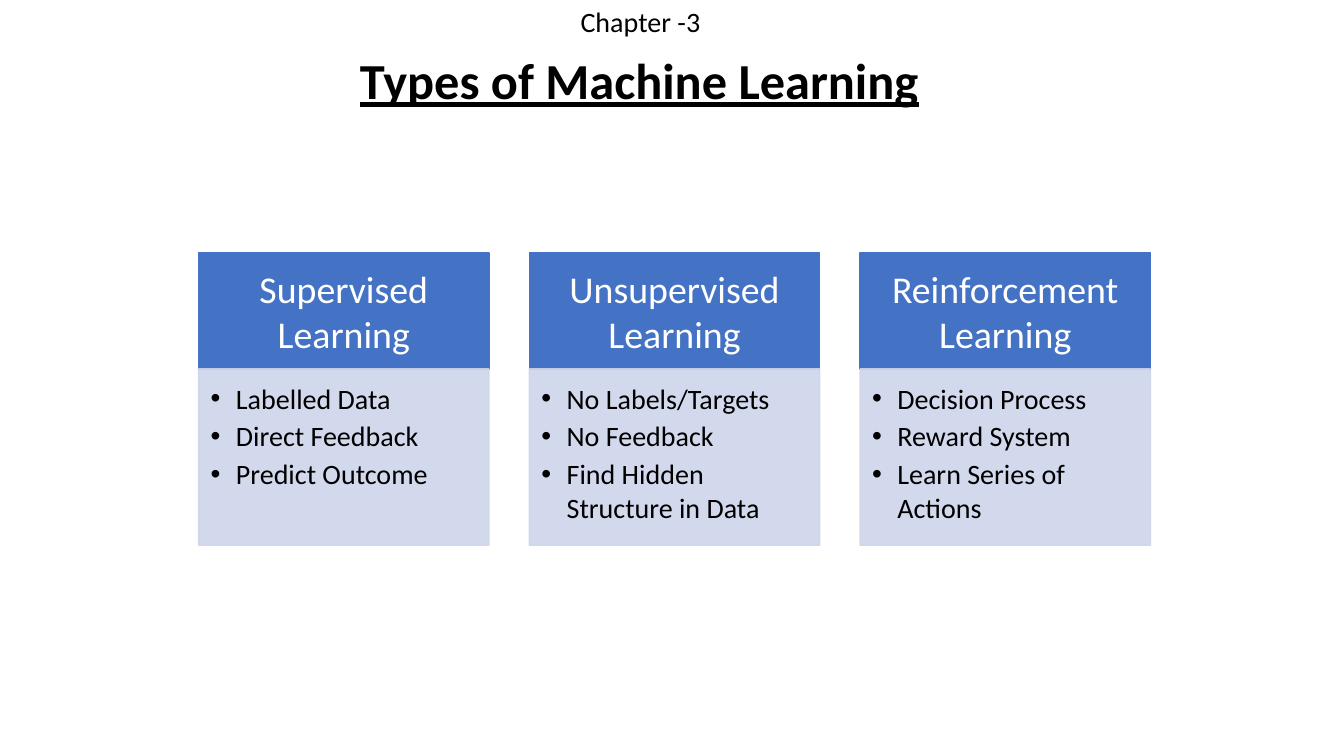
from dataclasses import dataclass

from lxml import etree
from pptx import Presentation
from pptx.dml.color import RGBColor
from pptx.enum import shapes, text
from pptx.oxml import ns
from pptx.util import Inches, Pt


@dataclass(frozen=True)
class Theme:
    font: str = "Calibri"
    ink: str = "000000"
    light: str = "FFFFFF"
    header_fill: str = "4472C4"
    body_fill: str = "CFD5EA"
    body_opacity: int = 90
    chapter_size: int = 20
    title_size: int = 36
    header_size: int = 27
    body_size: int = 20


@dataclass(frozen=True)
class Area:
    left: float
    top: float
    width: float
    height: float


@dataclass(frozen=True)
class LearningType:
    name: str
    traits: tuple[str, ...]


THEME = Theme()
COLUMN_LEFT, COLUMN_WIDTH, COLUMN_GAP = 1.97, 2.88, 0.4
HEADER_TOP, HEADER_HEIGHT, BODY_HEIGHT = 2.51, 1.15, 1.75
LEARNING_TYPES = (
    LearningType("Supervised Learning", ("Labelled Data", "Direct Feedback", "Predict Outcome")),
    LearningType(
        "Unsupervised Learning",
        ("No Labels/Targets", "No Feedback", "Find Hidden Structure in Data"),
    ),
    LearningType(
        "Reinforcement Learning",
        ("Decision Process", "Reward System", "Learn Series of Actions"),
    ),
)


def style_font(font, size: int, color: str) -> None:
    font.name = THEME.font
    font.size = Pt(size)
    font.color.rgb = RGBColor.from_string(color)


def set_margins(frame, left: float, top: float, right: float, bottom: float) -> None:
    frame.margin_left, frame.margin_top = Inches(left), Inches(top)
    frame.margin_right, frame.margin_bottom = Inches(right), Inches(bottom)


def place(area: Area) -> tuple:
    return Inches(area.left), Inches(area.top), Inches(area.width), Inches(area.height)


def add_heading(page, area: Area, words: str, size: int):
    frame = page.shapes.add_textbox(*place(area)).text_frame
    frame.text = words
    style_font(frame.paragraphs[0].runs[0].font, size, THEME.ink)
    return frame


def add_panel(page, area: Area, color: str, opacity: int = 100):
    panel = page.shapes.add_shape(shapes.MSO_SHAPE.RECTANGLE, *place(area))
    panel.shadow.inherit = False
    panel.fill.solid()
    panel.line.width = Pt(1)
    for paint in (panel.fill.fore_color, panel.line.color):
        paint.rgb = RGBColor.from_string(color)
    if opacity < 100:
        for solid in panel.element.spPr.iter(ns.qn("a:srgbClr")):
            etree.SubElement(solid, ns.qn("a:alpha"), val=str(opacity * 1000))
    panel.text_frame.word_wrap = True
    return panel.text_frame


def add_bullet(para) -> None:
    properties = para._p.get_or_add_pPr()
    properties.set("marL", str(Inches(0.25)))
    properties.set("indent", str(-Inches(0.25)))
    etree.SubElement(properties, ns.qn("a:buFont"), typeface="Arial")
    etree.SubElement(properties, ns.qn("a:buChar"), char="•")


def add_learning_type(page, left: float, kind: LearningType) -> None:
    header = add_panel(page, Area(left, HEADER_TOP, COLUMN_WIDTH, HEADER_HEIGHT), THEME.header_fill)
    set_margins(header, 0.21, 0.12, 0.21, 0.12)
    header.vertical_anchor = text.MSO_ANCHOR.MIDDLE
    header.text = kind.name
    header.paragraphs[0].alignment = text.PP_ALIGN.CENTER
    style_font(header.paragraphs[0].runs[0].font, THEME.header_size, THEME.light)

    body_area = Area(left, HEADER_TOP + HEADER_HEIGHT, COLUMN_WIDTH, BODY_HEIGHT)
    body = add_panel(page, body_area, THEME.body_fill, THEME.body_opacity)
    set_margins(body, 0.12, 0.12, 0.16, 0.17)
    body.vertical_anchor = text.MSO_ANCHOR.TOP
    body.text = "\n".join(kind.traits)
    for para in body.paragraphs:
        add_bullet(para)
        para.level = 1
        para.alignment = text.PP_ALIGN.LEFT
        para.space_after = Pt(3)
        style_font(para.runs[0].font, THEME.body_size, THEME.ink)


def main() -> None:
    deck = Presentation()
    deck.slide_width, deck.slide_height = Inches(13.33), Inches(7.5)
    page = deck.slides.add_slide(deck.slide_layouts[6])

    chapter = add_heading(page, Area(5.66, 0, 1.4, 0.44), "Chapter -3", THEME.chapter_size)
    chapter.word_wrap = False

    title_area = Area(1.91, 0.44, 8.91, 1.01)
    title = add_heading(page, title_area, "Types of Machine Learning", THEME.title_size)
    title.word_wrap = True
    title.margin_left = Inches(1.66)
    title_font = title.paragraphs[0].runs[0].font
    title_font.bold = True
    title_font.underline = True

    for index, kind in enumerate(LEARNING_TYPES):
        add_learning_type(page, COLUMN_LEFT + index * (COLUMN_WIDTH + COLUMN_GAP), kind)

    deck.save("out.pptx")


if __name__ == "__main__":
    main()
